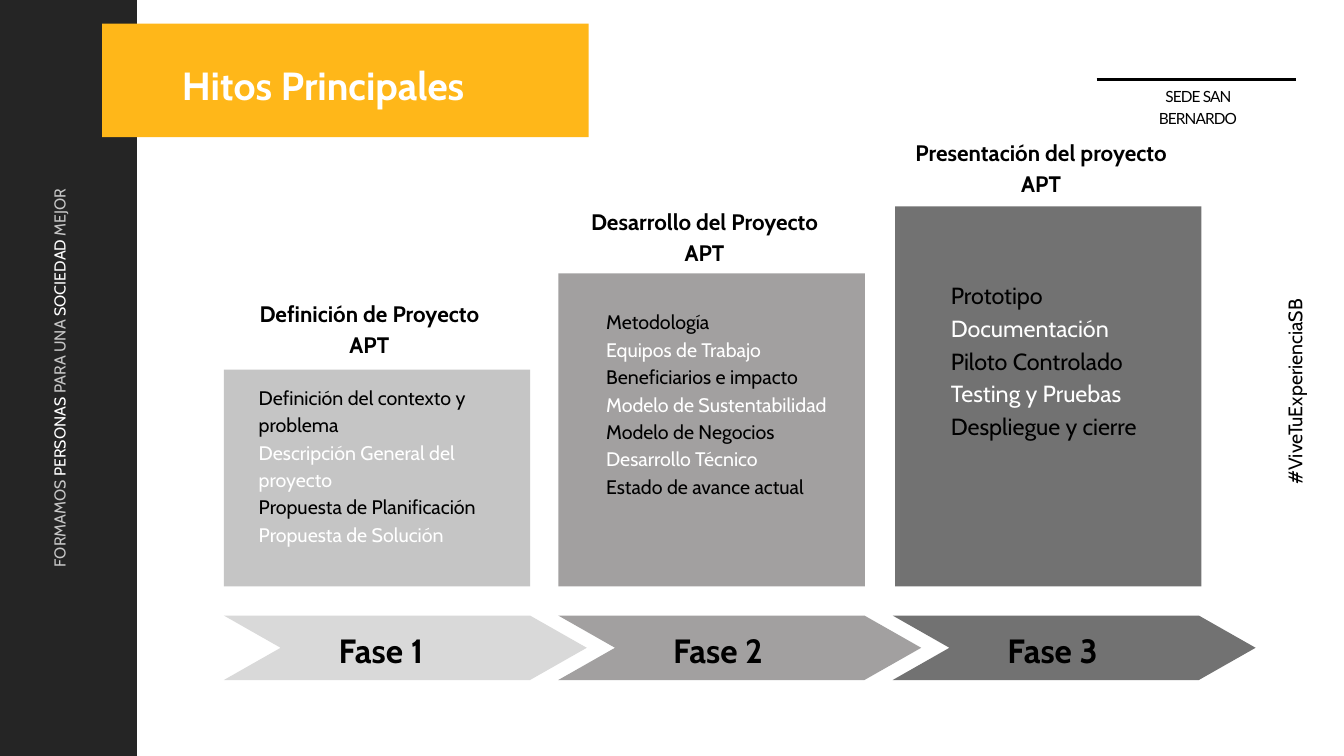
from lxml.etree import SubElement
from pptx import Presentation
from pptx.dml.color import RGBColor
from pptx.enum.shapes import MSO_CONNECTOR, MSO_SHAPE
from pptx.enum.text import PP_ALIGN
from pptx.oxml.ns import qn
from pptx.util import Cm, Pt


class Theme:
    font, campus_font = "Cabin", "Lato"
    dark, accent = "252525", "FFB719"
    black, white, muted = "000000", "FFFFFF", "C6C6C6"
    title, phase, heading, hashtag, motto, campus = 42, 36, 24, 21, 17, 16.5
    leading = 1.4


TITLE = "Hitos Principales"
CAMPUS = "SEDE SAN BERNARDO"
HASHTAG = "#ViveTuExperienciaSB"
MOTTO = [("FORMAMOS ", Theme.muted), ("PERSONAS", Theme.white),
         (" PARA UNA ", Theme.muted), ("SOCIEDAD", Theme.white),
         (" MEJOR", Theme.muted)]

# Boxes are left, top, width, height in cm; bar is left, top
PHASES = [
    dict(name="Fase 1", arrow="D9D9D9", fill="C5C5C5", bar=(8.46, 13.97),
         heading="Definición de Proyecto APT", heading_box=(9.5, 11.18, 8.92, 2.26),
         items=["Definición del contexto y problema", "Descripción General del proyecto",
                "Propuesta de Planificación", "Propuesta de Solución"],
         items_box=(9.78, 14.43, 8.92, 7.19), size=21),
    dict(name="Fase 2", arrow="A2A0A0", fill="A2A0A0", bar=(21.11, 10.34),
         heading="Desarrollo del Proyecto APT", heading_box=(22.17, 7.7, 8.92, 2.26),
         items=["Metodología", "Equipos de Trabajo", "Beneficiarios e impacto",
                "Modelo de Sustentabilidad", "Modelo de Negocios",
                "Desarrollo Técnico", "Estado de avance actual"],
         items_box=(22.91, 11.58, 8.92, 8.2), size=21),
    dict(name="Fase 3", arrow="727272", fill="727272", bar=(33.83, 7.8),
         heading="Presentación del proyecto APT", heading_box=(34.42, 5.08, 9.86, 2.26),
         items=["Prototipo", "Documentación", "Piloto Controlado",
                "Testing y Pruebas", "Despliegue y cierre"],
         items_box=(35.94, 10.46, 8.92, 6.32), size=25),
]
BAR_W, BAR_BOTTOM = 11.58, 22.17
ARROW_X, ARROW_Y, ARROW_W, ARROW_H, ARROW_STEP = 8.46, 23.27, 13.72, 2.44, 12.64
ARROW_POINT = 0.88  # depth of the point relative to the height


def add_block(slide, box, color, kind=MSO_SHAPE.RECTANGLE):
    sp = slide.shapes.add_shape(kind, *map(Cm, box))
    sp.shadow.inherit = False
    sp.fill.solid()
    sp.fill.fore_color.rgb = RGBColor.from_string(color)
    sp.line.fill.background()
    return sp


def add_text(slide, box, paragraphs, size, bold=False, align=PP_ALIGN.LEFT,
             font=Theme.font, rotation=0):
    """Each paragraph is a list of (text, color) runs."""
    sp = slide.shapes.add_textbox(*map(Cm, box))
    sp.rotation = rotation
    tf = sp.text_frame
    tf.word_wrap = True
    tf.margin_left = tf.margin_top = tf.margin_right = tf.margin_bottom = 0
    for i, runs in enumerate(paragraphs):
        p = tf.paragraphs[0] if i == 0 else tf.add_paragraph()
        p.alignment = align
        p.line_spacing = Pt(round(size * Theme.leading, 1))
        p.font.name, p.font.size, p.font.bold = font, Pt(size), bold
        for text, color in runs:
            r = p.add_run()
            r.text = text
            r.font.color.rgb = RGBColor.from_string(color)
    return tf


def add_frame(slide):
    # Campus mark: rule and name
    rule = slide.shapes.add_connector(MSO_CONNECTOR.STRAIGHT,
                                      Cm(41.45), Cm(3), Cm(48.97), Cm(3))
    rule.line.color.rgb = RGBColor.from_string(Theme.black)
    rule.line.width = Pt(3)
    SubElement(rule._element.spPr, qn("a:effectLst"))
    tf = add_text(slide, (42.6, 3.18, 5.36, 0.79), [[(CAMPUS, Theme.black)]],
                  Theme.campus, align=PP_ALIGN.CENTER, font=Theme.campus_font)
    tf.paragraphs[0].runs[0].font._element.set("spc", "-90")

    # Sidebar and title banner
    add_block(slide, (0, 0, 5.18, 28.58), Theme.dark)
    add_block(slide, (3.86, 0.89, 18.39, 4.3), Theme.accent)
    add_text(slide, (6.88, 2.01, 12.4, 1.98), [[(TITLE, Theme.white)]],
             Theme.title, bold=True)

    # Vertical texts
    add_text(slide, (-7.06, 13.89, 18.44, 0.79), [MOTTO], Theme.motto,
             align=PP_ALIGN.CENTER, rotation=270)
    add_text(slide, (44.7, 14.29, 8.31, 1.04), [[(HASHTAG, Theme.black)]],
             Theme.hashtag, align=PP_ALIGN.CENTER, rotation=270)


def add_phase(slide, index, phase):
    # Arrow with the phase name
    x = ARROW_X + index * ARROW_STEP
    arrow = add_block(slide, (x, ARROW_Y, ARROW_W, ARROW_H), phase["arrow"],
                      MSO_SHAPE.CHEVRON)
    arrow.adjustments[0] = ARROW_POINT
    add_text(slide, (x + 4.34, 23.55, 3.91, 1.7), [[(phase["name"], Theme.black)]],
             Theme.phase, bold=True)

    # Bar, heading and milestones in alternating colours
    left, top = phase["bar"]
    add_block(slide, (left, top, BAR_W, BAR_BOTTOM - top), phase["fill"])
    add_text(slide, phase["heading_box"], [[(phase["heading"], Theme.black)]],
             Theme.heading, bold=True, align=PP_ALIGN.CENTER)
    colors = (Theme.black, Theme.white)
    items = [[(item, colors[i % 2])] for i, item in enumerate(phase["items"])]
    add_text(slide, phase["items_box"], items, phase["size"])


def main():
    prs = Presentation()
    prs.slide_width, prs.slide_height = Cm(50.8), Cm(28.58)
    slide = prs.slides.add_slide(prs.slide_layouts[6])
    add_frame(slide)
    for index, phase in enumerate(PHASES):
        add_phase(slide, index, phase)
    prs.save("out.pptx")


if __name__ == "__main__":
    main()
